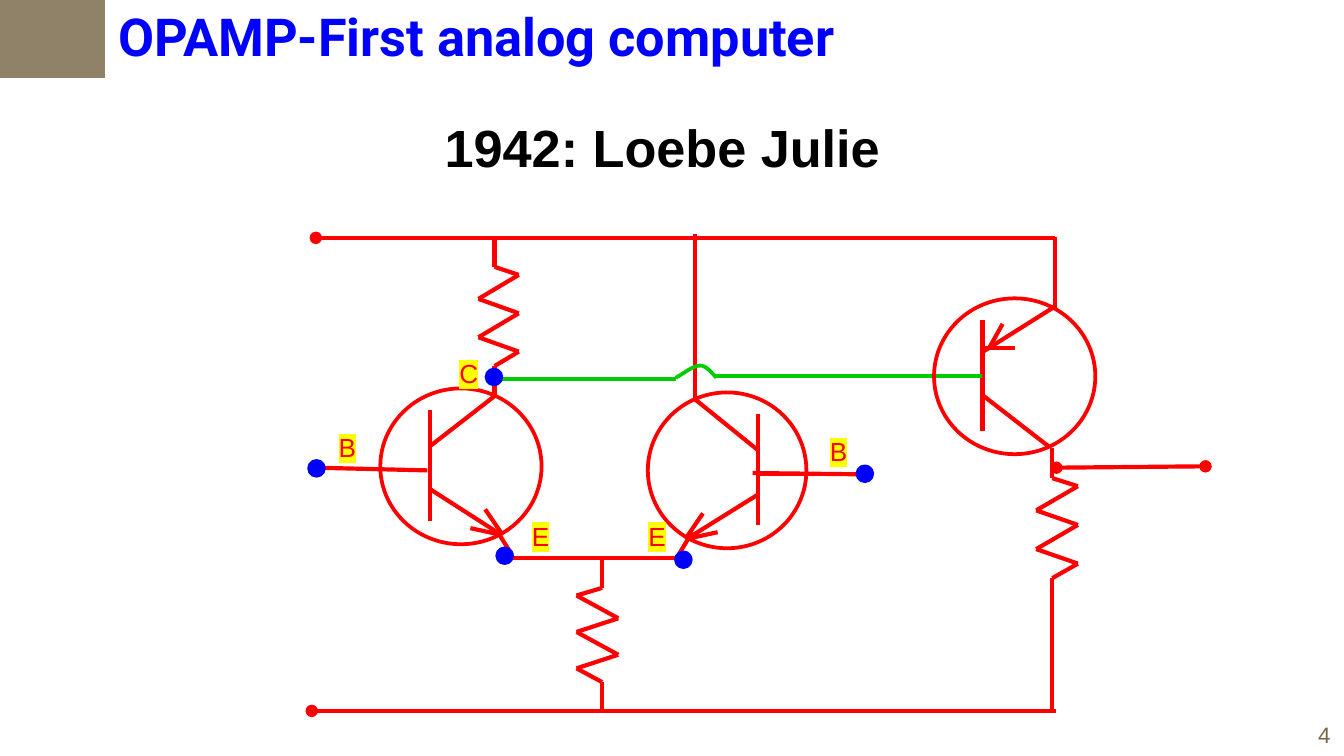
"""Build the slide on the first operational amplifier, with its circuit."""
from itertools import pairwise

from lxml import etree
from pptx import Presentation
from pptx.dml.color import RGBColor
from pptx.enum.dml import MSO_LINE
from pptx.enum.shapes import MSO_CONNECTOR, MSO_SHAPE
from pptx.enum.text import MSO_ANCHOR, MSO_AUTO_SIZE, PP_ALIGN
from pptx.oxml.ns import qn
from pptx.util import Inches, Pt

LINE = MSO_CONNECTOR.STRAIGHT
SOLID = MSO_LINE.SOLID
OVAL, RECT = MSO_SHAPE.OVAL, MSO_SHAPE.RECTANGLE
TOP, FIT = MSO_ANCHOR.TOP, MSO_AUTO_SIZE.SHAPE_TO_FIT_TEXT
LEFT, MID = PP_ALIGN.LEFT, PP_ALIGN.CENTER
HEX = {"red": "FF0000", "green": "00CC00", "blue": "0000FF", "black": "000000",
       "tan": "908269", "brown": "786745", "yellow": "FFFF00"}
RGB = {name: RGBColor.from_string(code) for name, code in HEX.items()}

prs = Presentation()
prs.slide_width, prs.slide_height = Inches(10), Inches(10 * 9 / 16)
slide = prs.slides.add_slide(prs.slide_layouts[5])
shapes = slide.shapes


def wire(points, color="red", ends=()):
    for (x1, y1), (x2, y2) in pairwise(points):
        part = shapes.add_connector(LINE, Inches(x1), Inches(y1), Inches(x2), Inches(y2))
        part.line.color.rgb = RGB[color]
        part.line.width = Pt(2.25)
        part.line.dash_style = SOLID
        for end in ends:
            etree.SubElement(part.line._ln, qn("a:" + end), type="oval")
        etree.SubElement(part._element.spPr, qn("a:effectLst"))


def write(box, text, size, font, color, bold=False, align=LEFT, wrap=False):
    frame = box.text_frame
    frame.text = text
    frame.word_wrap, frame.auto_size = wrap, FIT
    frame.vertical_anchor = TOP
    para = frame.paragraphs[0]
    para.alignment = align
    para.font.size, para.font.name, para.font.bold = Pt(size), font, bold
    para.font.color.rgb = RGB[color]
    return para


block = shapes.add_shape(RECT, 0, Inches(-0.02), Inches(0.78), Inches(0.6))
block.shadow.inherit = False
block.fill.solid()
block.fill.fore_color.rgb = RGB["tan"]
block.line.fill.background()

title = shapes.title
title.left, title.top, title.width, title.height = map(Inches, (0.78, -0.02, 6.04, 0.57))
write(title, "OPAMP-First analog computer", 28, "Roboto", "blue", True)
name = shapes.add_textbox(Inches(3.21), Inches(0.81), Inches(3.48), Inches(0.57))
write(name, "1942: Loebe Julie", 28, "Arial", "black", True)
page = shapes.add_textbox(Inches(9.71), Inches(5.32), Inches(0.29), Inches(0.3))
write(page, "4", 12, "Arial", "brown")

steps = [0, 0.19, 0.24, 0.39, 0.48, 0.63, 0.72, 0.81, 1]
for mid, near, far, top, tall in [(3.68, 3.86, 3.56, 1.76, 1.19),
                                  (7.83, 8.02, 7.71, 3.33, 1.2),
                                  (4.48, 4.29, 4.6, 4.16, 1.13)]:
    cols = [mid, mid, near, far, near, far, near, mid, mid]
    wire([(x, top + tall * step) for x, step in zip(cols, steps)])

for points in [
    [(3.2, 3.05), (3.2, 3.88)],
    [(3.69, 2.94), (3.2, 3.32)],
    [(3.2, 3.64), (3.73, 3.98), (3.5, 3.93)],
    [(3.61, 3.79), (3.74, 3.98)],
    [(2.35, 3.48), (3.18, 3.5)],
    [(3.71, 3.97), (3.81, 4.13)],
    [(3.75, 4.15), (5.14, 4.15)],
    [(5.64, 3.08), (5.64, 3.91)],
    [(5.17, 1.74), (5.17, 2.97), (5.64, 3.35)],
    [(5.64, 3.68), (5.11, 4.01), (5.34, 3.96)],
    [(5.1, 4.01), (5.23, 3.82)],
    [(5.15, 3.96), (5.03, 4.16)],
    [(6.16, 3.53), (5.65, 3.53)],
    [(6.46, 3.53), (5.6, 3.52)],
    [(7.31, 3.21), (7.31, 2.38)],
    [(7.8, 3.32), (7.31, 2.94)],
    [(7.85, 2.28), (7.31, 2.62)],
    [(7.46, 2.41), (7.36, 2.59)],
    [(7.55, 2.59), (7.33, 2.59)],
    [(7.85, 1.76), (7.85, 2.31)],
    [(7.83, 4.45), (7.83, 5.29)],
]:
    wire(points)

wire([(2.35, 1.77), (7.85, 1.77)], ends=["headEnd"])
wire([(2.32, 5.29), (7.86, 5.29)], ends=["headEnd"])
wire([(7.86, 3.48), (8.97, 3.47)], ends=["headEnd", "tailEnd"])
wire([(3.68, 2.82), (5.03, 2.82)], "green")
wire([(5.32, 2.8), (7.31, 2.8)], "green")

curves = [[(5.03, 2.81), (5.1, 2.77), (5.16, 2.72), (5.21, 2.72)],
          [(5.21, 2.72), (5.26, 2.72), (5.31, 2.79), (5.33, 2.81)]]
trace = []
for curve in curves:
    for t in [i / 8 for i in range(9)]:
        mix = [(1 - t) ** 3, 3 * t * (1 - t) ** 2, 3 * t * t * (1 - t), t ** 3]
        trace.append([Inches(sum(m * p[k] for m, p in zip(mix, curve))) for k in (0, 1)])
path = shapes.build_freeform(*trace[0])
path.add_line_segments(trace[1:], close=False)
hop = path.convert_to_shape()
hop.shadow.inherit = False
hop.fill.background()
hop.line.color.rgb = RGB["green"]
hop.line.width = Pt(2)

rings = [(2.83, 2.89, 1.2, 1.16), (4.82, 2.92, 1.18, 1.16), (6.95, 2.22, 1.2, 1.16)]
dots = [(3.7, 4.08), (3.62, 2.75), (2.3, 3.43), (5.03, 4.11), (6.38, 3.47)]
for spot in rings + [(x, y, 0.11, 0.11) for x, y in dots]:
    ring = shapes.add_shape(OVAL, *map(Inches, spot))
    ring.shadow.inherit = False
    ring.line.width = Pt(2)
    if spot in rings:
        ring.fill.background()
        ring.line.color.rgb = RGB["red"]
    else:
        ring.fill.solid()
        ring.fill.fore_color.rgb = RGB["blue"]
        ring.line.color.rgb = RGB["blue"]

for text, x, y, wide in [("C", 3.32, 2.61, 0.31), ("E", 3.86, 3.82, 0.26),
                         ("B", 2.32, 3.16, 0.53), ("E", 4.71, 3.82, 0.36),
                         ("B", 5.98, 3.19, 0.52)]:
    box = shapes.add_textbox(Inches(x), Inches(y), Inches(wide), Inches(0.34))
    para = write(box, text, 14, "Arial", "red", align=MID, wrap=True)
    props = para.runs[0]._r.get_or_add_rPr()
    mark = etree.SubElement(props, qn("a:highlight"))
    etree.SubElement(mark, qn("a:srgbClr"), val=HEX["yellow"])

prs.save("out.pptx")
